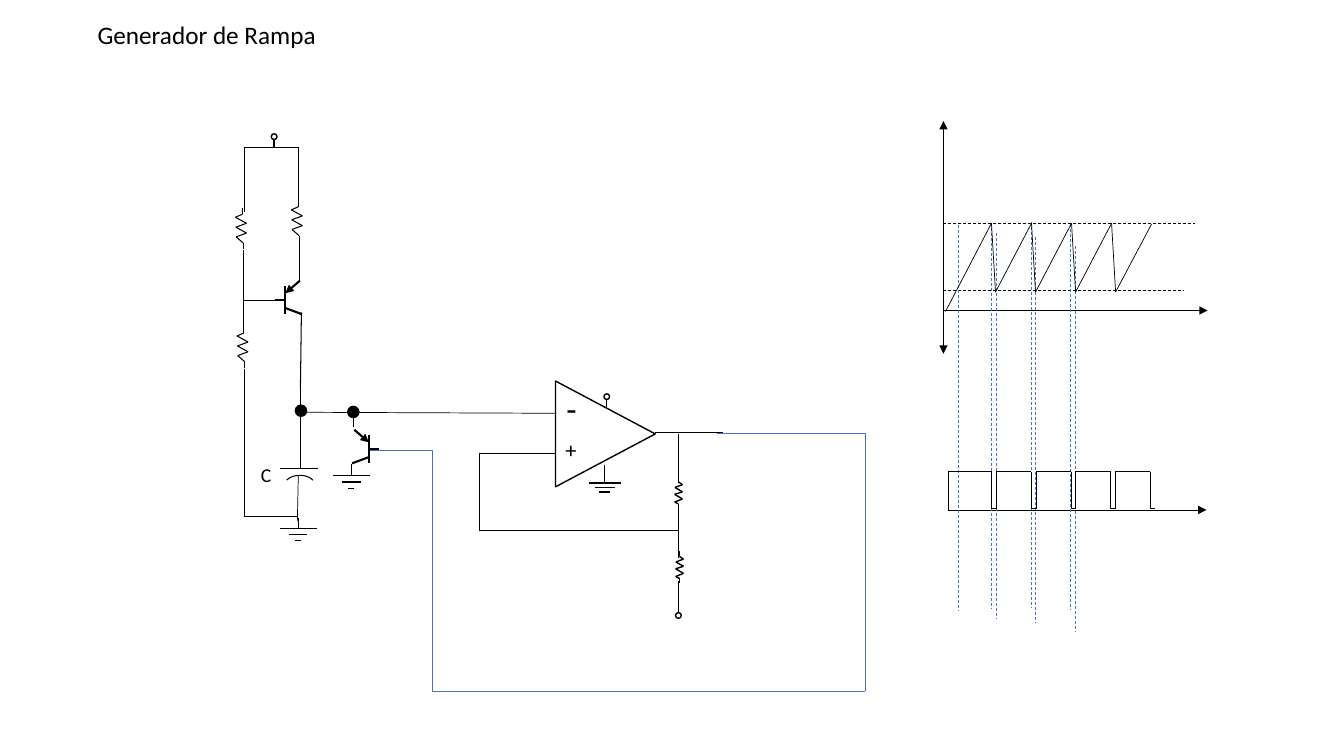
from lxml.etree import SubElement
from pptx import Presentation
from pptx.dml.color import RGBColor
from pptx.enum.dml import MSO_LINE
from pptx.enum.shapes import MSO_CONNECTOR, MSO_SHAPE
from pptx.enum.text import MSO_AUTO_SIZE
from pptx.oxml.ns import qn
from pptx.util import Pt

BLACK, BLUE = "000000", "4472C4"

# Text: wording, left, top, width, height, size, wrap
LABELS = [
    ("Generador de Rampa", 62.6, 10.1, 172.1, 28.8, 18, False),
    ("C", 179.3, 326.9, 36.7, 24.5, 14, True),
    ("-", 397.4, 273.6, 22.3, 36, 24, False),
    ("+", 396.7, 308.2, 22.3, 26.6, 16, False),
]

# Circuit wires: weight, points
WIRES = [
    (0.5, [(174.2, 151.2), (174.2, 105.1), (213.1, 105.1), (213.1, 145.4)]),
    (0.75, [(213.8, 172.8), (213.8, 200.9)]),
    (0.75, [(174.2, 178.6), (174.2, 233.3)]),
    (0.75, [(196.6, 214.6), (174.2, 214.6)]),
    (0.75, [(215.3, 223.2), (214.6, 277.2), (214.6, 334.8)]),
    (0.75, [(200.2, 334.8), (227.5, 334.8)]),
    (0.5, [(213.1, 339.8), (212.4, 372.2)]),
    (0.5, [(252.7, 305.3), (252.7, 294.5)]),
    (0.5, [(218.9, 294.5), (397.4, 295.2)]),
    (0.5, [(396.7, 324), (342.4, 324), (342.4, 378.7), (484.6, 378.7)]),
    (0.5, [(468, 308.9), (516.2, 308.9)]),
    (0.5, [(484.6, 344.9), (484.6, 310.3)]),
    (0.5, [(484.6, 398.9), (484.6, 363.6)]),
    (0.5, [(484.6, 432), (484.6, 414.7)]),
]
# Bent wires: start, end, position of the bend, colour, weight
BENT_WIRES = [
    ((175, 263.5), (213.1, 368.6), 0, BLACK, 0.75),
    ((511.9, 309.6), (617.8, 493.9), 1, BLUE, 0.5),
    ((262.8, 321.8), (617.8, 493.9), 0.13, BLUE, 0.5),
]

# Zigzags as offsets from the top of the resistor
LARGE_ZIGZAG = [(0, 0), (0, 4.5), (-5, 6.7), (2.9, 11), (-4.7, 13.8),
                (2.9, 18), (-4.5, 20.7), (0.6, 25.2), (0.6, 29.5)]
SMALL_ZIGZAG = [(0, 0), (0, 3.6), (2.9, 5.6), (-2.5, 7.6), (2.9, 10.7),
                (-2.7, 12.5), (2.9, 15.8), (-2.7, 18), (0, 19.3), (0, 22.8)]
RESISTORS = [
    (213.1, 143.2, LARGE_ZIGZAG, 0.75),
    (173.2, 148.5, LARGE_ZIGZAG, 0.75),
    (174.3, 233.3, LARGE_ZIGZAG, 0.75),
    (484.6, 340.6, SMALL_ZIGZAG, 1),
    (485.3, 393.8, SMALL_ZIGZAG, 1),
]
# Bar x, bar top, side of emitter and collector
TRANSISTORS = [(203.8, 204.5, 1), (263.5, 311, -1)]
# Centre x, stem top, first bar, bar gap, half widths, weight
GROUNDS = [
    (213.1, 370.1, 377.3, 4.3, (13, 6.5, 2.2), 0.75),
    (250.9, 331.2, 339.8, 4.5, (13.3, 6.8, 2.2), 0.75),
    (432, 331.9, 344.9, 3.2, (11.5, 7.2, 4), 1),
]
# Centre x, centre y, stem start, stem end
TERMINALS = [
    (195.8, 97.6, 99.7, 105.1),
    (433.4, 283.3, 285.1, 290.9),
    (484.6, 439.6, 432, 437.8),
]
NODES = [(215, 293.4), (252.4, 294.3)]

# Axes: start, end, line ends that carry an arrowhead
AXES = [
    ((673.9, 86.4), (673.9, 252.7), ("headEnd", "tailEnd")),
    ((673.9, 221.8), (862.6, 221.8), ("tailEnd",)),
    ((677.5, 364.3), (861.8, 364.3), ("tailEnd",)),
]
THRESHOLDS = [(207.4, 846), (159.8, 853.9)]
GUIDES = [(684.7, 160.6), (707.8, 159.1), (711.4, 166.3), (736.6, 158.4),
          (739.4, 169.2), (764.6, 159.8), (768.2, 175.7)]
GUIDE_LENGTH = 275.8

presentation = Presentation()
presentation.slide_width, presentation.slide_height = Pt(960), Pt(540)
slide = presentation.slides.add_slide(presentation.slide_layouts[6])


def rgb(value):
    return RGBColor.from_string(value)


def add_line(start, end, weight=0.5, color=BLACK, dashed=False, arrows=(), bend=None):
    """Draw a straight line, or an elbow when bend gives its position."""
    kind = MSO_CONNECTOR.STRAIGHT if bend is None else MSO_CONNECTOR.ELBOW
    connector = slide.shapes.add_connector(kind, *(Pt(n) for n in (*start, *end)))
    connector.line.color.rgb = rgb(color)
    connector.line.width = Pt(weight)
    if dashed:
        connector.line.dash_style = MSO_LINE.DASH
    properties = connector._element.spPr
    outline = properties.find(qn("a:ln"))
    for arrow in arrows:
        SubElement(outline, qn(f"a:{arrow}"), type="triangle")
    if bend is not None:
        values = properties.find(qn("a:prstGeom")).find(qn("a:avLst"))
        SubElement(values, qn("a:gd"), name="adj1", fmla=f"val {round(bend * 100000)}")
    SubElement(properties, qn("a:effectLst"))


def add_chain(points, **line_format):
    for start, end in zip(points, points[1:]):
        add_line(start, end, **line_format)


def add_outline(kind, left, top, width, height, fill=None, weight=1):
    shape = slide.shapes.add_shape(kind, Pt(left), Pt(top), Pt(width), Pt(height))
    shape.shadow.inherit = False
    if fill:
        shape.fill.solid()
        shape.fill.fore_color.rgb = rgb(fill)
    else:
        shape.fill.background()
    shape.line.color.rgb = rgb(BLACK)
    shape.line.width = Pt(weight)
    return shape


def add_circle(x, y, size, fill=None):
    add_outline(MSO_SHAPE.OVAL, x - size / 2, y - size / 2, size, size, fill)


def add_label(text, left, top, width, height, size, wrap):
    box = slide.shapes.add_textbox(Pt(left), Pt(top), Pt(width), Pt(height))
    frame = box.text_frame
    frame.word_wrap = wrap
    frame.auto_size = MSO_AUTO_SIZE.SHAPE_TO_FIT_TEXT
    run = frame.paragraphs[0].add_run()
    run.text = text
    for name, value in {"name": "Calibri", "size": Pt(size)}.items():
        setattr(run.font, name, value)
    run.font.color.rgb = rgb(BLACK)


def add_transistor(x, top, side):
    add_line((x, top), (x, top + 20), 1.5)
    add_line((x + side * 10.4, top - 4), (x, top + 5), 1.5, arrows=("tailEnd",))
    add_line((x, top + 15.5), (x + side * 12, top + 20), 1.5)
    add_line((x, top + 10), (x - side * 7.2, top + 10), 1.5)


def add_ground(x, stem_top, bar_top, gap, half_widths, weight):
    add_line((x, stem_top), (x, bar_top), weight)
    for row, half in enumerate(half_widths):
        y = bar_top + row * gap
        add_line((x - half, y), (x + half, y), weight)


# Circuit
for weight, points in WIRES:
    add_chain(points, weight=weight)
for start, end, bend, color, weight in BENT_WIRES:
    add_line(start, end, weight, color, bend=bend)
for x, top, zigzag, weight in RESISTORS:
    add_chain([(x + dx, top + dy) for dx, dy in zigzag], weight=weight)
for transistor in TRANSISTORS:
    add_transistor(*transistor)
for ground in GROUNDS:
    add_ground(*ground)
for x, y, stem_start, stem_end in TERMINALS:
    add_circle(x, y, 4)
    add_line((x, stem_start), (x, stem_end), 1)
for x, y in NODES:
    add_circle(x, y, 8, BLACK)
capacitor_plate = add_outline(MSO_SHAPE.ARC, 203.4, 339.5, 21.6, 13.7, weight=0.75)
capacitor_plate.adjustments[0] = 120
capacitor_plate.adjustments[1] = 204
amplifier = add_outline(MSO_SHAPE.ISOSCELES_TRIANGLE, 394.6, 274.3, 75.6, 71.3)
amplifier.rotation = 90

# Signals
for start, end, arrows in AXES:
    add_line(start, end, arrows=arrows)
for y, right in THRESHOLDS:
    add_line((673.9, y), (right, y), dashed=True)
for x, top in GUIDES:
    add_line((x, top), (x, top + GUIDE_LENGTH), color=BLUE, dashed=True)

ramp = [(675.4, 222.5)]
for cycle in range(4):
    peak = 708.2 + 28.6 * cycle
    ramp += [(peak, 159.5), (peak + 2.9, 208.6)]
ramp.append((822.6, 160))
add_chain(ramp)

pulses = [(677.5, 364.7)]
for cycle in range(5):
    fall = 708.5 + 28.3 * cycle
    pulses += [(fall, 336.9), (fall + 3.4, 363.4)]
add_chain(pulses, bend=0)

for label in LABELS:
    add_label(*label)

presentation.save("out.pptx")
